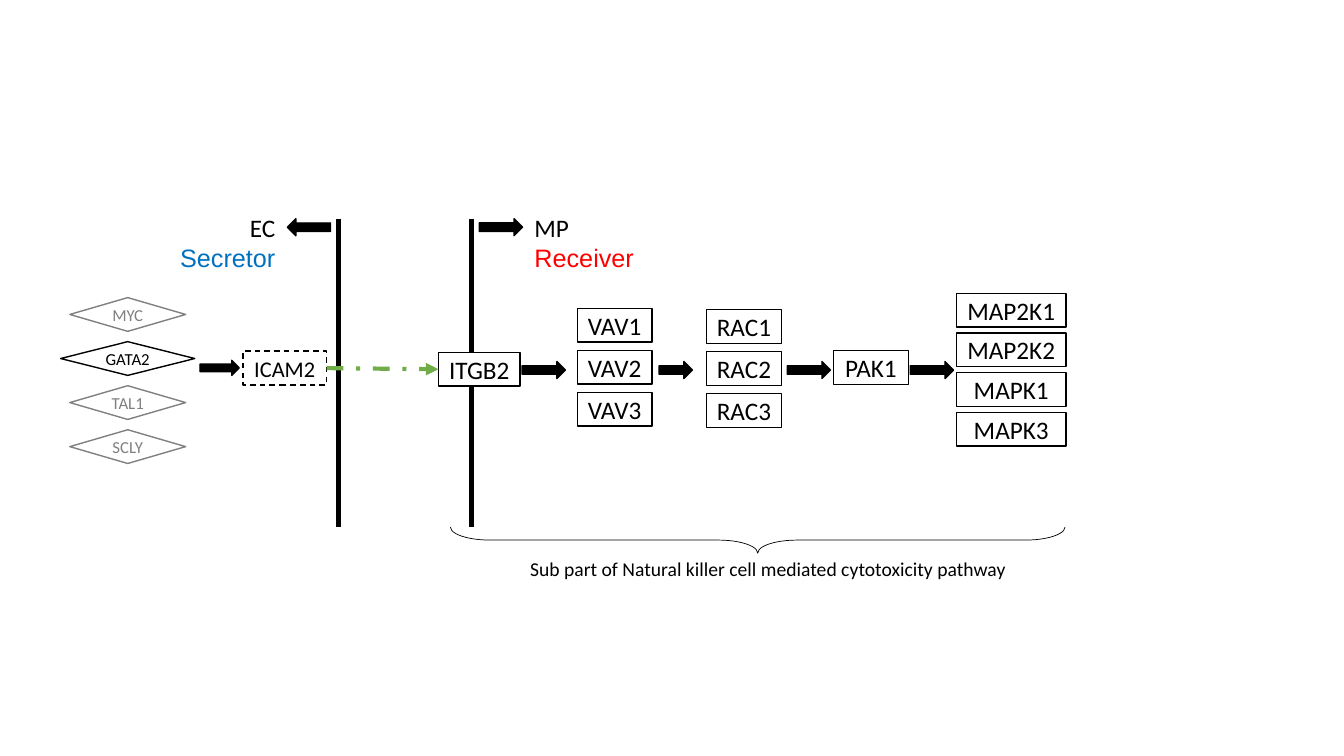
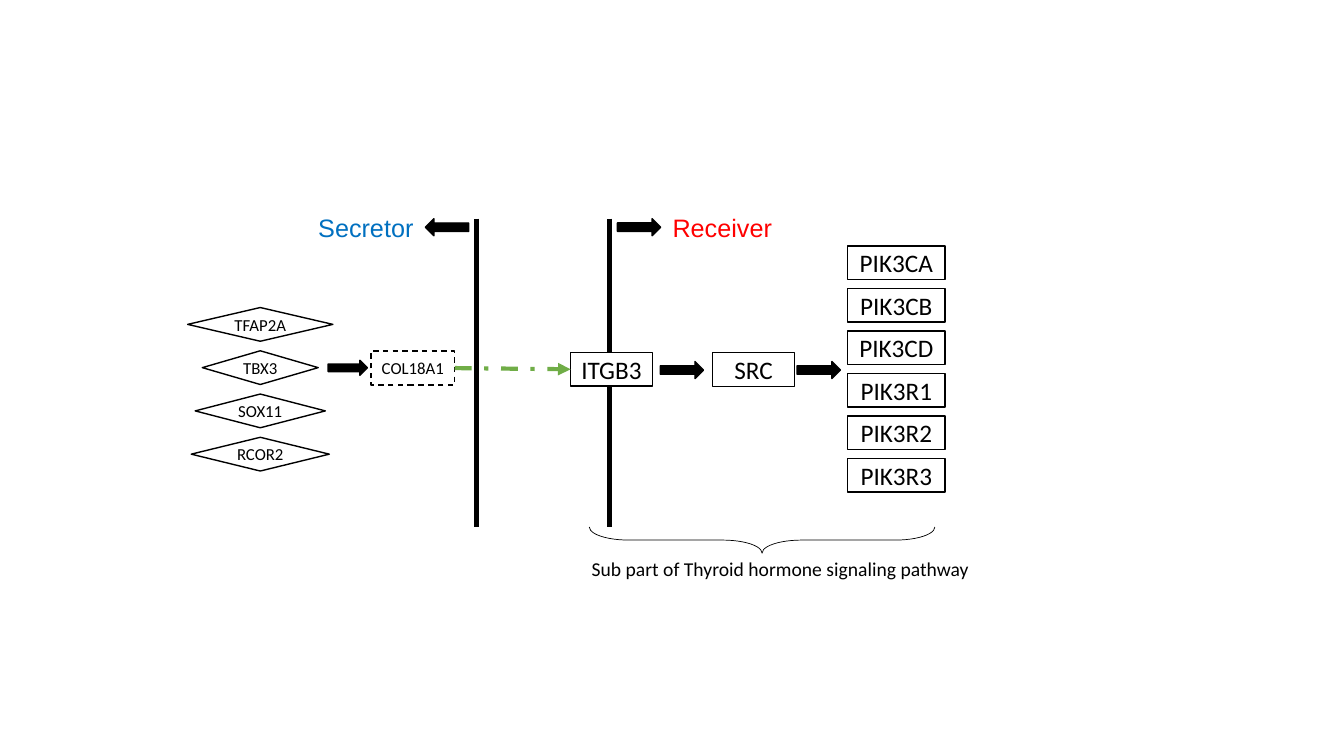
from pptx import Presentation
from pptx.dml.color import RGBColor
from pptx.enum.dml import MSO_LINE
from pptx.enum.shapes import MSO_CONNECTOR as CONN, MSO_SHAPE as SHAPE
from pptx.enum.text import MSO_ANCHOR as ANCHOR, PP_ALIGN as ALIGN
from pptx.oxml.ns import qn
from pptx.util import Cm, Pt
from lxml.etree import SubElement

BLACK, WHITE, GREY = "000000", "FFFFFF", "808080"
BLUE, RED, GREEN = "0070C0", "FF0000", "70AD47"
BODY, LABEL = "Calibri", "Arial"

# Shared lengths in cm
BOX_H = 0.85
WALL_TOP, WALL_BOTTOM, WALL_GAP = 5.51, 13.28, 3.35
ARROW_W, ARROW_H = 1.09, 0.43
FLOW_Y = 9.11
HEAD_W = 3.3


def rgb(value):
    return RGBColor.from_string(value)


def add_run(p, text, size, color=BLACK, font=BODY):
    r = p.add_run()
    r.text = text
    r.font.size, r.font.name = Pt(size), font
    r.font.color.rgb = rgb(color)


def add_shape(s, kind, x, y, w, h, fill=None, line=BLACK, weight=1):
    sp = s.shapes.add_shape(kind, Cm(x), Cm(y), Cm(w), Cm(h))
    sp.shadow.inherit = False
    if fill:
        sp.fill.solid()
        sp.fill.fore_color.rgb = rgb(fill)
    else:
        sp.fill.background()
    sp.line.color.rgb = rgb(line)
    sp.line.width = Pt(weight)
    return sp


def add_node(s, kind, text, x, y, w, size=18, fill=WHITE, color=BLACK):
    sp = add_shape(s, kind, x, y, w, BOX_H, fill, color)
    tf = sp.text_frame
    tf.word_wrap = False
    tf.vertical_anchor = ANCHOR.MIDDLE
    p = tf.paragraphs[0]
    p.alignment = ALIGN.CENTER
    add_run(p, text, size, color)
    return sp


def add_arrow(s, x, y=FLOW_Y, w=ARROW_W, h=ARROW_H, rotation=0):
    sp = add_shape(s, SHAPE.RIGHT_ARROW, x, y, w, h, BLACK)
    sp.rotation = rotation


def add_line(s, x1, y1, x2, y2, color=BLACK):
    line = s.shapes.add_connector(CONN.STRAIGHT, Cm(x1), Cm(y1), Cm(x2), Cm(y2))
    line.line.color.rgb = rgb(color)
    line.line.width = Pt(3)
    SubElement(line._element.spPr, qn("a:effectLst"))
    return line


def add_text(s, x, y, w, h, lines, align=ALIGN.LEFT):
    """Each line is (text, size, colour, font)."""
    tf = s.shapes.add_textbox(Cm(x), Cm(y), Cm(w), Cm(h)).text_frame
    tf.word_wrap = True
    for i, line in enumerate(lines):
        p = tf.add_paragraph() if i else tf.paragraphs[0]
        p.alignment = align
        add_run(p, *line)


def add_membranes(s, x, cells):
    """Two cell walls, the left one at x, with outward arrows and headings."""
    right = x + WALL_GAP
    for wall in (x, right):
        add_line(s, wall, WALL_TOP, wall, WALL_BOTTOM)
    add_arrow(s, x - 0.2 - ARROW_W, WALL_TOP, rotation=180)
    add_arrow(s, right + 0.2, WALL_TOP)
    sides = ((x - 1.34 - HEAD_W, "Secretor", BLUE, ALIGN.RIGHT),
             (right + 1.34, "Receiver", RED, ALIGN.LEFT))
    for i, (left, role, color, align) in enumerate(sides):
        lines = [(cells[i], 18, BLACK, BODY)] if cells else []
        lines.append((role, 18, color, LABEL))
        add_text(s, left, 5.22, HEAD_W, 0.2 + 0.8 * len(lines), lines, align)


def add_factors(s, center, y, pitch, factors):
    """Column of diamonds about a centre line; each is (name, width, colour)."""
    for i, (name, w, color) in enumerate(factors):
        add_node(s, SHAPE.DIAMOND, name, center - w / 2, y + i * pitch, w,
                 12, None, color)


def add_binding(s, ligand, ligand_x, ligand_size, receptor, receptor_x):
    """Dashed ligand, the arrow into it, and its link to the receptor."""
    add_arrow(s, ligand_x - 1.08, 9.08, 0.99, 0.38)
    a = add_node(s, SHAPE.RECTANGLE, ligand, ligand_x, 8.85, 2.11, ligand_size)
    a.line.dash_style = MSO_LINE.DASH
    b = add_node(s, SHAPE.RECTANGLE, receptor, receptor_x, 8.88, 2.06)
    link = add_line(s, 0, 0, 1, 1, GREEN)
    link.begin_connect(a, 3)
    link.end_connect(b, 1)
    link.line.dash_style = MSO_LINE.DASH_DOT
    SubElement(link.line._get_or_add_ln(), qn("a:tailEnd"), type="triangle")


def add_column(s, x, y, w, pitch, names):
    for i, name in enumerate(names):
        add_node(s, SHAPE.RECTANGLE, name, x, y + i * pitch, w)


def add_pathway_label(s, x, w, text, text_x, text_w):
    """Brace pointing down, spanning x to x + w, with a caption below."""
    depth = 0.66
    brace = add_shape(s, SHAPE.RIGHT_BRACE, x + (w - depth) / 2,
                      WALL_BOTTOM + (depth - w) / 2, depth, w, weight=0.5)
    brace.rotation = 90
    brace.adjustments[0], brace.adjustments[1] = 1.51, 0.5
    add_text(s, text_x, 13.91, text_w, 0.86, [(text, 14)])


def natural_killer_slide(s):
    add_membranes(s, 8.53, ("EC", "MP"))
    add_factors(s, 3.22, 7.5, 1.11, [
        ("MYC", 2.92, GREY), ("GATA2", 3.38, BLACK),
        ("TAL1", 2.92, GREY), ("SCLY", 2.92, GREY)])
    add_binding(s, "ICAM2", 6.12, 16, "ITGB2", 11.05)
    add_column(s, 14.55, 7.77, 1.88, 1.06, ["VAV1", "VAV2", "VAV3"])
    add_column(s, 17.81, 7.8, 1.88, 1.06, ["RAC1", "RAC2", "RAC3"])
    add_column(s, 21.01, 8.84, 1.88, 0, ["PAK1"])
    add_column(s, 24.1, 7.39, 2.77, 1, ["MAP2K1", "MAP2K2", "MAPK1", "MAPK3"])
    for x in (13.16, 19.84, 22.94):
        add_arrow(s, x)
    add_arrow(s, 16.61, w=0.84)
    add_pathway_label(
        s, 11.35, 15.49,
        "Sub part of Natural killer cell mediated cytotoxicity pathway",
        13.11, 13.11)


def thyroid_slide(s):
    add_membranes(s, 12.01, None)
    add_factors(s, 6.56, 7.75, 1.09, [
        ("TFAP2A", 3.66, BLACK), ("TBX3", 2.92, BLACK),
        ("SOX11", 3.28, BLACK), ("RCOR2", 3.48, BLACK)])
    add_binding(s, "COL18A1", 9.35, 12, "ITGB3", 14.38)
    add_column(s, 17.96, 8.89, 2.06, 0, ["SRC"])
    add_column(s, 21.36, 6.2, 2.46, 1.07, [
        "PIK3CA", "PIK3CB", "PIK3CD", "PIK3R1", "PIK3R2", "PIK3R3"])
    for x in (16.64, 20.09):
        add_arrow(s, x)
    add_pathway_label(s, 14.85, 8.71,
                      "Sub part of Thyroid hormone signaling pathway",
                      14.66, 10.24)


def main():
    prs = Presentation()
    prs.slide_width, prs.slide_height = Cm(33.87), Cm(19.05)
    for build in (natural_killer_slide, thyroid_slide):
        build(prs.slides.add_slide(prs.slide_layouts[6]))
    prs.save("out.pptx")


if __name__ == "__main__":
    main()
